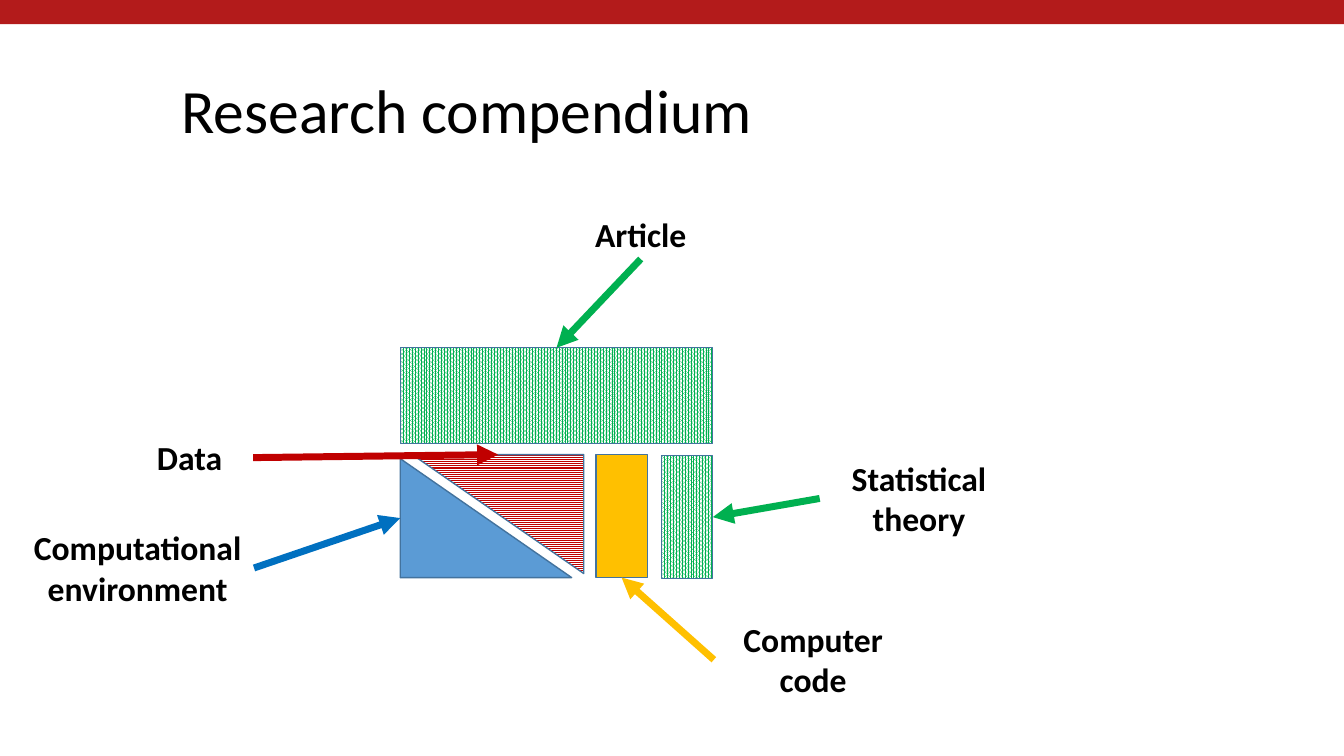
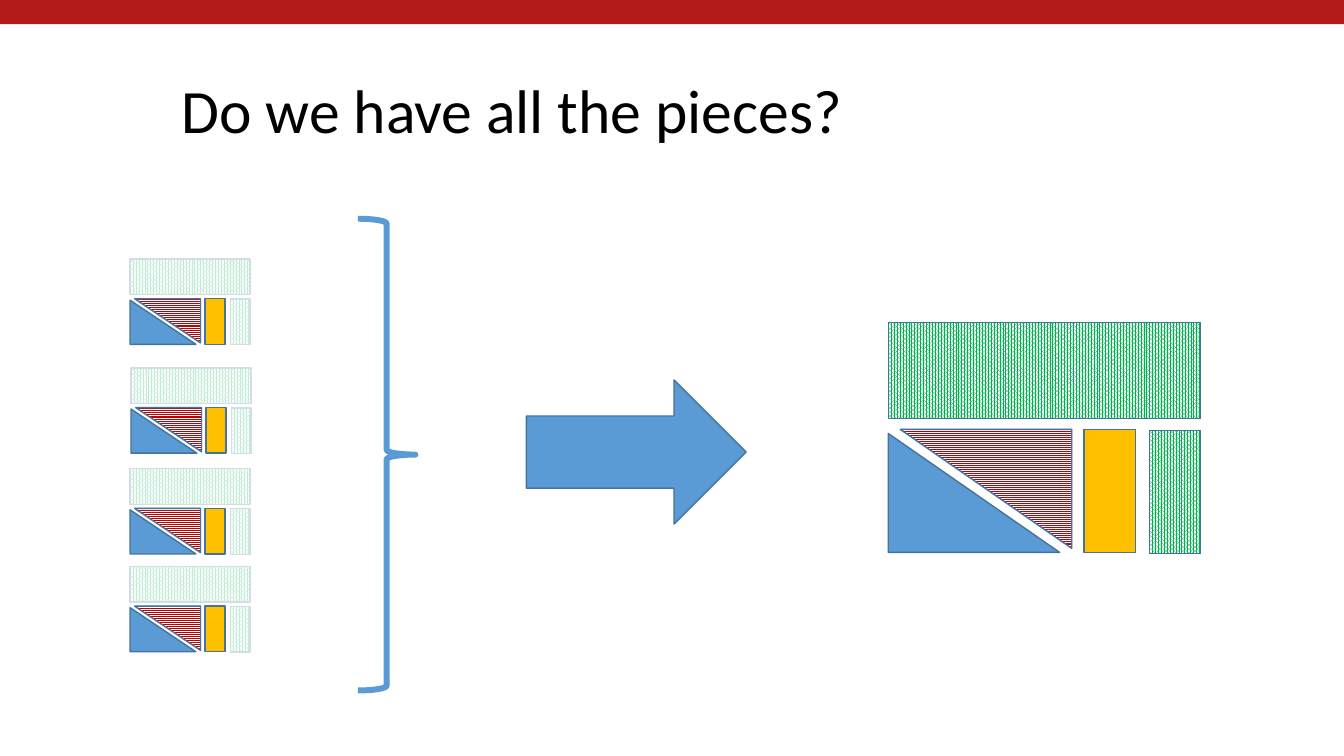
import pptx
import pptx.util
import pptx.dml.color
import pptx.enum.dml
import pptx.enum.shapes
import pptx.enum.text
import pptx.oxml
import pptx.oxml.ns

INCH = pptx.util.Inches
FORM = pptx.enum.shapes.MSO_SHAPE
HATCH = pptx.enum.dml.MSO_PATTERN_TYPE
ALIGN = pptx.enum.text.PP_ALIGN
ANCHOR = pptx.enum.text.MSO_ANCHOR

WIDE, HIGH = 13.33, 7.5
FONT = "Calibri"
BLACK, WHITE, BAND = "000000", "FFFFFF", "B31B1B"
GREEN, RED, GOLD = "00B050", "C00000", "FFC000"
SKY, BLUE, EDGE = "5B9BD5", "0070C0", "43739E"

# Parts of a kit as drawn in a box of KIT size: place, form, colour, hatch, turn
KIT = (3.1, 2.29)
PARTS = {
    "env": ((0, 1.1, 1.7, 1.18), FORM.RIGHT_TRIANGLE, SKY, None, 0),
    "article": ((0, 0, 3.1, 0.95), FORM.RECTANGLE, GREEN, HATCH.PERCENT_80, 0),
    "data": ((0.12, 1.06, 1.7, 1.18), FORM.RIGHT_TRIANGLE, RED,
             HATCH.NARROW_HORIZONTAL, 180),
    "code": ((1.94, 1.06, 0.51, 1.22), FORM.RECTANGLE, GOLD, None, 0),
    "theory": ((2.59, 1.07, 0.51, 1.22), FORM.RECTANGLE, GREEN, HATCH.PERCENT_80, 0),
}

# Text, label box, arrow start (share of label), part, arrow tip (share of part), colour
LABELS = [
    ("Article", (5.37, 2.07, 1.97, 0.5), (0.5, 1), "article", (0.5, 0), GREEN),
    ("Statistical theory", (8.13, 4.49, 1.97, 0.91), (0, 0.5), "theory", (1, 0.5), GREEN),
    ("Computer code", (7.08, 6.09, 1.97, 0.91), (0, 0.5), "code", (0.5, 1), GOLD),
    ("Computational environment", (0.21, 5.18, 2.31, 0.91), (1, 0.5), "env", (0, 0.5), BLUE),
    ("Data", (1.25, 4.29, 1.26, 0.5), (1, 0.5), "data", (0.5, 0), RED),
]


def tint(code):
    return pptx.dml.color.RGBColor.from_string(code)


def point(box, share):
    x, y, w, h = box
    return x + w * share[0], y + h * share[1]


def place(box, name):
    """Box of a kit part, for a kit that fills the given box."""
    x, y, w, h = PARTS[name][0]
    across, down = box[2] / KIT[0], box[3] / KIT[1]
    return box[0] + x * across, box[1] + y * down, w * across, h * down


def add_form(shapes, form, box, fill=None, line=EDGE, weight=1, hatch=None):
    shape = shapes.add_shape(form, *map(INCH, box))
    shape.shadow.inherit = False
    if hatch is not None:
        shape.fill.patterned()
        shape.fill.pattern = hatch
        shape.fill.fore_color.rgb = tint(fill)
        shape.fill.back_color.rgb = tint(WHITE)
    elif fill:
        shape.fill.solid()
        shape.fill.fore_color.rgb = tint(fill)
    else:
        shape.fill.background()
    if line:
        shape.line.color.rgb = tint(line)
        shape.line.width = pptx.util.Pt(weight)
    else:
        shape.line.fill.background()
    return shape


def add_text(slide, text, box, size, bold=False, align=ALIGN.LEFT,
             anchor=ANCHOR.TOP, space=1.0):
    frame = slide.shapes.add_textbox(*map(INCH, box)).text_frame
    frame.word_wrap = True
    frame.vertical_anchor = anchor
    frame.text = text
    para = frame.paragraphs[0]
    para.alignment = align
    para.line_spacing = space
    font = para.runs[0].font
    font.name, font.size, font.bold = FONT, pptx.util.Pt(size), bold
    font.color.rgb = tint(BLACK)


def add_arrow(slide, start, tip, color):
    line = slide.shapes.add_connector(pptx.enum.shapes.MSO_CONNECTOR.STRAIGHT,
                                      *map(INCH, (*start, *tip)))
    line.line.color.rgb = tint(color)
    line.line.width = pptx.util.Pt(5)
    pptx.oxml.ns.qn("a:ln")
    props = line._element.spPr
    head = props.find(pptx.oxml.ns.qn("a:ln")).makeelement(
        pptx.oxml.ns.qn("a:tailEnd"), {"type": "triangle"})
    props.find(pptx.oxml.ns.qn("a:ln")).append(head)
    props.append(props.makeelement(pptx.oxml.ns.qn("a:effectLst"), {}))


def add_veil(shapes, box):
    """Translucent white sheet, a little larger than the box."""
    x, y, w, h = box
    sheet = (x - 0.04 * w, y - 0.04 * h, 1.08 * w, 1.08 * h)
    veil = add_form(shapes, FORM.RECTANGLE, sheet, WHITE, None)
    color = veil.fill._xPr.find(".//" + pptx.oxml.ns.qn("a:srgbClr"))
    color.append(color.makeelement(pptx.oxml.ns.qn("a:alpha"), {"val": "76000"}))


def add_kit(slide, box, clear, faint=()):
    """Faint parts under a veil, then clear parts on top."""
    shapes = slide.shapes.add_group_shape().shapes

    def add_parts(names):
        for name in names:
            _, form, color, hatch, turn = PARTS[name]
            part = add_form(shapes, form, place(box, name), color, hatch=hatch)
            part.rotation = turn

    add_parts(faint)
    if faint:
        add_veil(shapes, box)
    add_parts(clear)


def add_slide(prs, title):
    slide = prs.slides.add_slide(prs.slide_layouts[6])
    add_form(slide.shapes, FORM.RECTANGLE, (0, 0, WIDE, 0.24), BAND, None)
    add_text(slide, title, (1.7, 0.4, 10.7, 1.45), 44,
             anchor=ANCHOR.MIDDLE, space=0.9)
    return slide


def add_labels(slide, box):
    for text, label, start, part, tip, color in LABELS:
        add_text(slide, text, label, 24, True, ALIGN.CENTER)
        add_arrow(slide, point(label, start), point(place(box, part), tip), color)


def draw_kit(prs):
    slide = add_slide(prs, "Research compendium")
    box = (3.97, 3.45, *KIT)
    add_kit(slide, box, PARTS)
    add_labels(slide, box)


def draw_merge(prs):
    """Four part-filled kits that lead to one full kit."""
    slide = add_slide(prs, "Do we have all the pieces?")
    faint = ("article", "data", "theory")
    for left, top in ((1.29, 5.62), (1.29, 4.65), (1.3, 3.65), (1.29, 2.57)):
        add_kit(slide, (left, top, 1.19, 0.85), ("env", "data", "code"), faint)
    add_form(slide.shapes, FORM.RIGHT_BRACE, (3.55, 2.17, 0.57, 4.68),
             line=SKY, weight=4.25)
    add_form(slide.shapes, FORM.RIGHT_ARROW, (5.22, 3.77, 2.18, 1.43), SKY)
    add_kit(slide, (8.81, 3.2, *KIT), PARTS, faint)


def main():
    prs = pptx.Presentation()
    prs.slide_width, prs.slide_height = INCH(WIDE), INCH(HIGH)
    draw_kit(prs)
    draw_merge(prs)
    prs.save("out.pptx")


if __name__ == "__main__":
    main()
